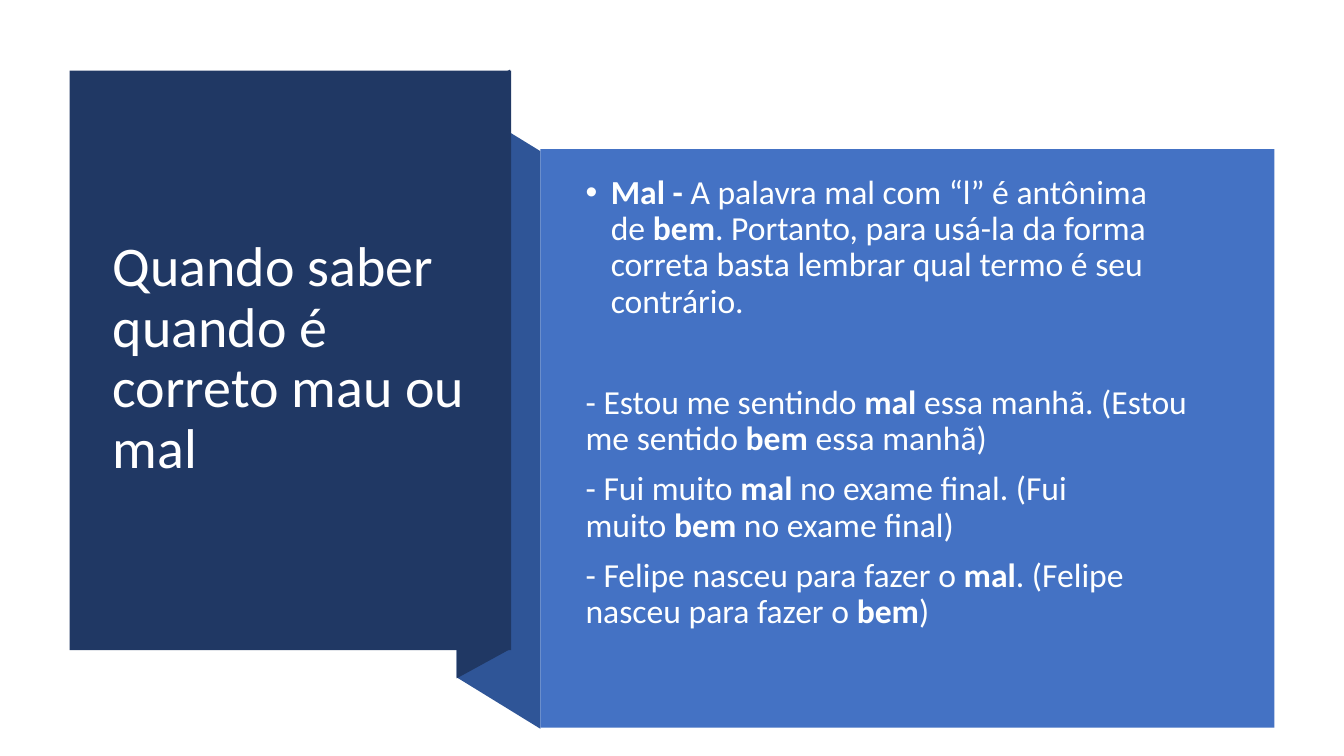
from lxml import etree
from pptx import Presentation
from pptx.dml.color import RGBColor
from pptx.enum.shapes import MSO_SHAPE as Preset
from pptx.enum.text import MSO_ANCHOR as Anchor, PP_ALIGN as Align
from pptx.oxml.ns import qn
from pptx.util import Inches, Pt

COLORS = {"navy": "203864", "fold": "2F5597", "blue": "4472C4",
          "title": "FFFFFF", "body": "FEFFFF"}
FONT = "Calibri"
TITLE = "Quando saber quando é correto mau ou mal"
RULE = [("Mal - ", True), ("A palavra mal com “l” é antônima de\u00a0", False),
        ("bem", True),
        (". Portanto, para usá-la da forma correta basta lembrar "
         "qual termo é seu contrário.", False)]
EXAMPLES = [
    ("- Estou me sentindo\u00a0", "\u00a0essa manhã. (Estou me sentido\u00a0",
     "\u00a0essa manhã)"),
    ("- Fui muito\u00a0", "\u00a0no exame final. (Fui muito\u00a0",
     "\u00a0no exame final)"),
    ("- Felipe nasceu para fazer o\u00a0", ". (Felipe nasceu para fazer o\u00a0", ")"),
]
FOLDS = [
    ("fold", [(5.36, 7.23), (4.53, 6.72), (4.53, 0.99), (5.36, 1.5)]),
    ("navy", [(5.06, 6.44), (4.53, 6.73), (4.53, 0.98), (5.06, 0.69)]),
]
TITLE_PANEL = (0.69, 0.7, 4.38, 5.75)
BODY_PANEL = (5.36, 1.48, 7.28, 5.74)
TITLE_BOX = (1.02, 1.07, 3.71, 4.99)
BODY_BOX = (5.71, 1.63, 6.51, 4.74)
BODY_SIZE, LINE_SPACING, GAP, INDENT = 24, 0.9, 10, 0.25
SECTION_GAP = 2 * GAP + BODY_SIZE * 1.22 * LINE_SPACING


def color(name):
    """Return the named colour."""
    return RGBColor.from_string(COLORS[name])


def paint(shape, name):
    """Give a shape a flat fill without line or shadow."""
    shape.shadow.inherit = False
    shape.fill.solid()
    shape.fill.fore_color.rgb = color(name)
    shape.line.fill.background()


def add_panel(page, place, name):
    """Add a flat rectangle."""
    paint(page.shapes.add_shape(Preset.RECTANGLE, *map(Inches, place)), name)


def add_fold(page, name, points):
    """Add a flat closed outline."""
    corners = [(Inches(x), Inches(y)) for x, y in points]
    outline = page.shapes.build_freeform(*corners[0])
    outline.add_line_segments(corners[1:], close=True)
    paint(outline.convert_to_shape(), name)


def add_text(page, place, paragraphs, size, name):
    """Add a centred-height text box of (space before, runs) paragraphs."""
    frame = page.shapes.add_textbox(*map(Inches, place)).text_frame
    frame.word_wrap = True
    frame.vertical_anchor = Anchor.MIDDLE
    frame.margin_top = frame.margin_bottom = 0
    for index, (before, spans) in enumerate(paragraphs):
        para = frame.add_paragraph() if index else frame.paragraphs[0]
        para.alignment = Align.LEFT
        para.line_spacing = LINE_SPACING
        para.space_before = Pt(before)
        for text, bold in spans:
            span = para.add_run()
            span.text = text
            span.font.name, span.font.size = FONT, Pt(size)
            span.font.bold = bold
            span.font.color.rgb = color(name)
    return frame


def add_bullet(para):
    """Give a paragraph a hanging round bullet."""
    props = para._p.get_or_add_pPr()
    props.set("marL", str(Inches(INDENT)))
    props.set("indent", str(-Inches(INDENT)))
    etree.SubElement(props, qn("a:buFont")).set("typeface", "Arial")
    etree.SubElement(props, qn("a:buChar")).set("char", "•")


def main():
    """Build the slide and save it."""
    deck = Presentation()
    deck.slide_width, deck.slide_height = Inches(13.33), Inches(7.5)
    page = deck.slides.add_slide(deck.slide_layouts[6])
    for name, points in FOLDS:
        add_fold(page, name, points)
    add_panel(page, TITLE_PANEL, "navy")
    add_text(page, TITLE_BOX, [(0, [(TITLE, False)])], 40, "title")
    add_panel(page, BODY_PANEL, "blue")
    paragraphs = [(GAP, RULE)]
    for index, (start, middle, end) in enumerate(EXAMPLES):
        spans = [(start, False), ("mal", True), (middle, False),
                 ("bem", True), (end, False)]
        paragraphs.append((GAP if index else SECTION_GAP, spans))
    body = add_text(page, BODY_BOX, paragraphs, BODY_SIZE, "body")
    add_bullet(body.paragraphs[0])
    deck.save("out.pptx")


main()
